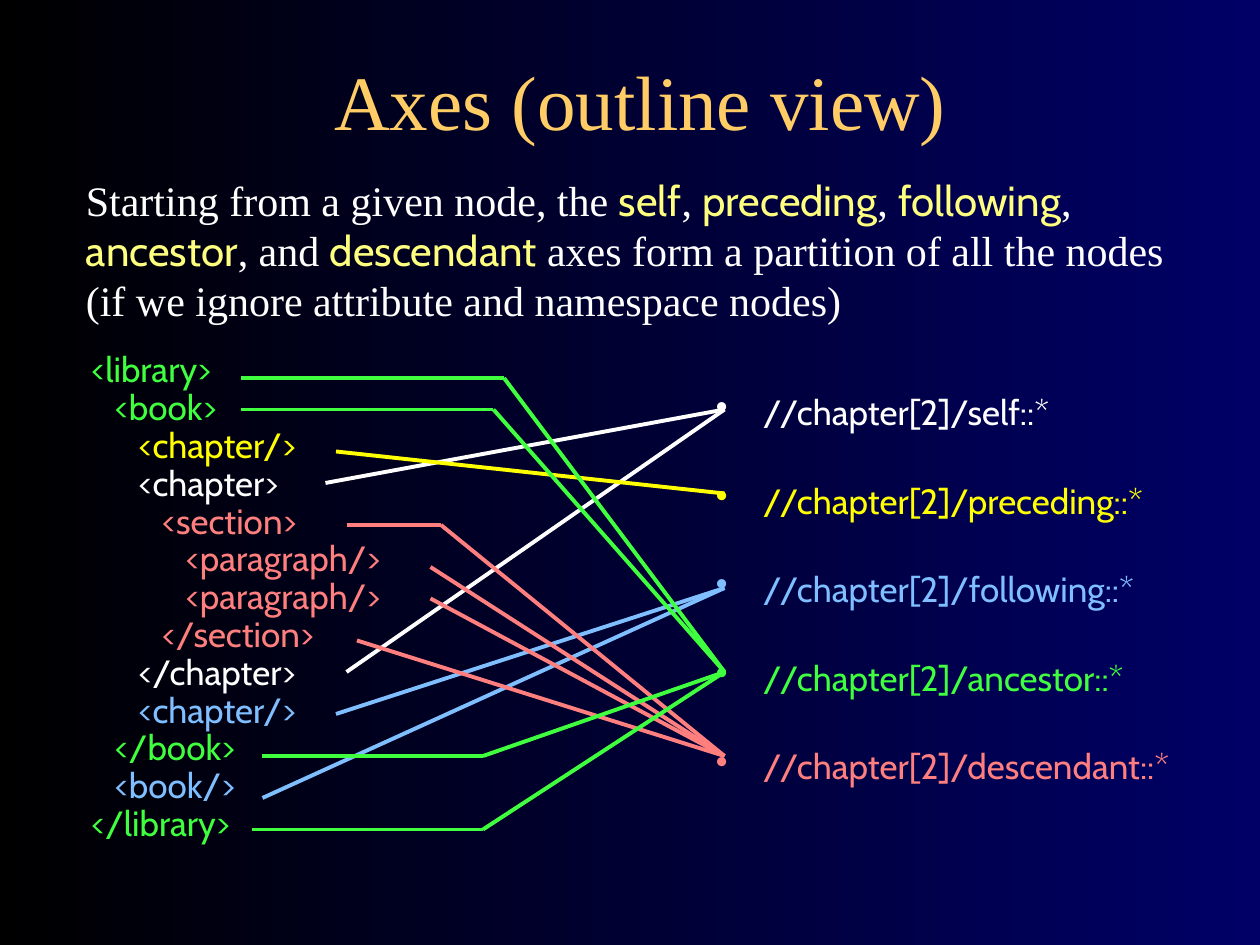
"""Build the slide that shows the XPath axes as an outline joined to queries."""
import itertools

import lxml.etree
import pptx
import pptx.dml.color
import pptx.enum.shapes
import pptx.enum.text
import pptx.oxml.ns
import pptx.util

Pt = pptx.util.Pt
qn = pptx.oxml.ns.qn

COLORS = {
    "title": "FFCC66", "text": "FFFFFF", "term": "FFFF7F",
    "self": "FFFFFF", "preceding": "FFFF00", "following": "7FBFFF",
    "ancestor": "3FFF3F", "descendant": "FF7F7F",
    "bg_right": "000066", "bg_left": "000000",
}
SERIF, SANS = "Times New Roman", "Cabin"
TITLE = "Axes (outline view)"
INTRO = [
    ("Starting from a given node, the ", "text"), ("self", "term"), (", ", "text"),
    ("preceding", "term"), (", ", "text"), ("following", "term"), (", ", "text"),
    ("ancestor", "term"), (", and ", "text"), ("descendant", "term"),
    (" axes form a partition of all the nodes"
     " (if we ignore attribute and namespace nodes)", "text"),
]
OUTLINE = [
    (0, "<library>", "ancestor"),
    (1, "<book>", "ancestor"),
    (2, "<chapter/>", "preceding"),
    (2, "<chapter>", "self"),
    (3, "<section>", "descendant"),
    (4, "<paragraph/>", "descendant"),
    (4, "<paragraph/>", "descendant"),
    (3, "</section>", "descendant"),
    (2, "</chapter>", "self"),
    (2, "<chapter/>", "following"),
    (1, "</book>", "ancestor"),
    (1, "<book/>", "following"),
    (0, "</library>", "ancestor"),
]
QUERIES = ["self", "preceding", "following", "ancestor", "descendant"]
TARGET_X = 414
LINKS = [
    ("self", 234, [[(186, 276)], [(198, 384)]]),
    ("preceding", 282, [[(192, 258)]]),
    ("following", 336, [[(192, 408)], [(150, 456)]]),
    ("descendant", 432, [[(204, 366)], [(246, 342)], [(246, 324)],
                         [(198, 300), (252, 300)]]),
    ("ancestor", 384, [[(138, 216), (288, 216)], [(138, 234), (282, 234)],
                       [(150, 432), (276, 432)], [(144, 474), (276, 474)]]),
]
INDENT, LEVEL_STEP = 27, 13.5


def rgb(name):
    return pptx.dml.color.RGBColor.from_string(COLORS[name])


def apply(obj, values):
    for name, value in values.items():
        setattr(obj, name, value)


def add_box(slide, left, top, width, height, **frame):
    tf = slide.shapes.add_textbox(Pt(left), Pt(top), Pt(width), Pt(height)).text_frame
    apply(tf, {"word_wrap": True, **frame})
    return tf


def add_paragraph(tf, first, runs, size, **fmt):
    p = tf.paragraphs[0] if first else tf.add_paragraph()
    apply(p, fmt)
    for text, color, face in runs:
        r = p.add_run()
        r.text = text
        apply(r.font, {"name": face, "size": Pt(size)})
        r.font.color.rgb = rgb(color)
    return p


def set_indent(p, left, first_line=0):
    pPr = p._p.get_or_add_pPr()
    pPr.set("marL", str(Pt(left)))
    pPr.set("indent", str(Pt(first_line)))
    return pPr


def add_bullet(p, color):
    pPr = set_indent(p, INDENT, -INDENT)
    clr = lxml.etree.SubElement(pPr, qn("a:buClr"))
    lxml.etree.SubElement(clr, qn("a:srgbClr"), val=COLORS[color])
    lxml.etree.SubElement(pPr, qn("a:buChar"), char="•")


def add_line(shapes, start, end, color):
    ends = [Pt(v) for v in (*start, *end)]
    line = shapes.add_connector(pptx.enum.shapes.MSO_CONNECTOR.STRAIGHT, *ends)
    line.line.color.rgb = rgb(color)
    line.line.width = Pt(2.25)
    lxml.etree.SubElement(line._element.spPr, qn("a:effectLst"))


def set_background(slide):
    fill = slide.background.fill
    fill.gradient()
    fill.gradient_angle = 180
    for stop, name in zip(fill.gradient_stops, ("bg_right", "bg_left")):
        stop.color.rgb = rgb(name)


def main():
    prs = pptx.Presentation()
    apply(prs, {"slide_width": Pt(720), "slide_height": Pt(540)})
    slide = prs.slides.add_slide(prs.slide_layouts[6])
    set_background(slide)

    tf = add_box(slide, 60, 24, 612, 66,
                 vertical_anchor=pptx.enum.text.MSO_ANCHOR.MIDDLE)
    add_paragraph(tf, True, [(TITLE, "title", SERIF)], 44,
                  alignment=pptx.enum.text.PP_ALIGN.CENTER)

    tf = add_box(slide, 18, 198, 252, 300)
    for i, (level, tag, axis) in enumerate(OUTLINE):
        p = add_paragraph(tf, i == 0, [(tag, axis, SANS)], 20, line_spacing=0.9)
        set_indent(p, INDENT + level * LEVEL_STEP)

    tf = add_box(slide, 402, 198, 300, 300)
    for i, axis in enumerate(QUERIES):
        p = add_paragraph(tf, i == 0, [(f"//chapter[2]/{axis}::*", axis, SANS)], 20,
                          line_spacing=1.9, space_before=Pt(5 if i else 0))
        add_bullet(p, axis)

    tf = add_box(slide, 42, 96, 648, 94)
    faces = {"text": SERIF, "term": SANS}
    add_paragraph(tf, True, [(text, kind, faces[kind]) for text, kind in INTRO], 24)

    for axis, target_y, routes in LINKS:
        shapes = slide.shapes
        if len(routes) > 1:
            shapes = shapes.add_group_shape().shapes
        for route in routes:
            for start, end in itertools.pairwise([*route, (TARGET_X, target_y)]):
                add_line(shapes, start, end, axis)

    prs.save("out.pptx")


if __name__ == "__main__":
    main()
